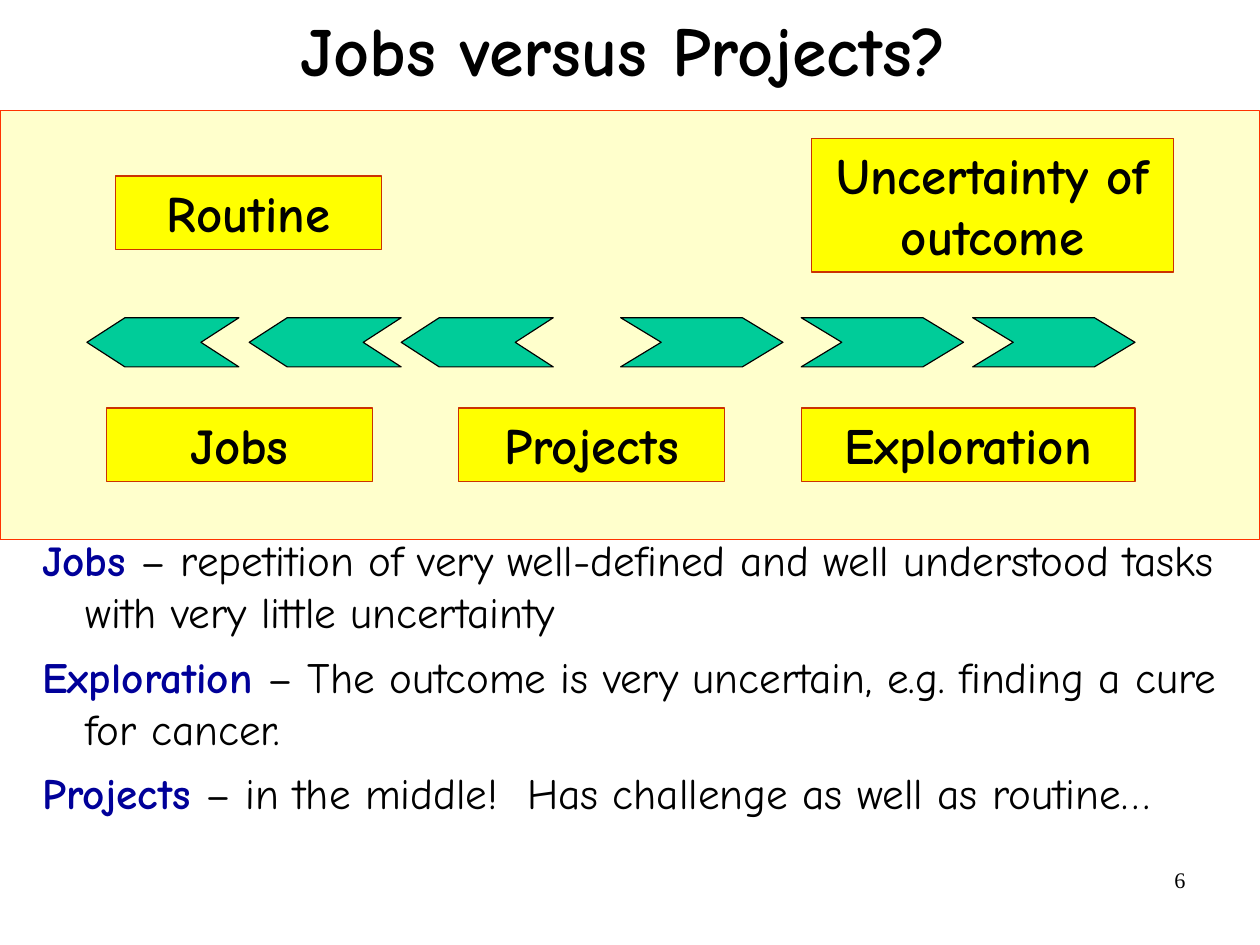
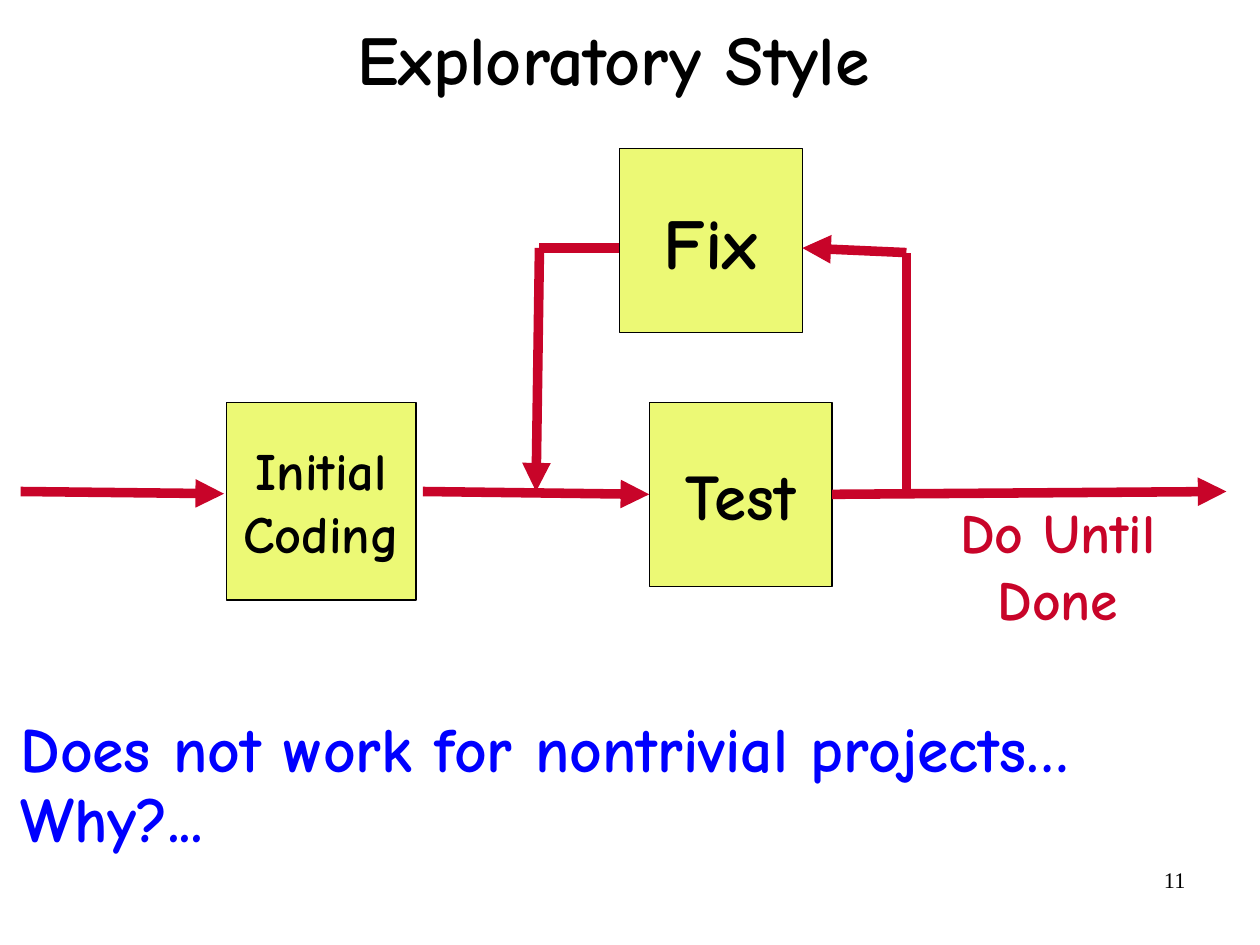
"""Builds two slides: jobs versus projects, and the exploratory coding style."""
import pptx
import pptx.util
import pptx.dml.color
import pptx.enum.shapes
import pptx.enum.text
import pptx.oxml
import pptx.oxml.ns

Inches, Pt = pptx.util.Inches, pptx.util.Pt
SHAPE = pptx.enum.shapes.MSO_SHAPE
ALIGN = pptx.enum.text.PP_ALIGN
ANCHOR = pptx.enum.text.MSO_ANCHOR
AUTO = pptx.enum.text.MSO_AUTO_SIZE

COLORS = {
    "text": "000000", "term": "000099", "remark": "0000FF", "paper": "FFFFFF",
    "panel": "FFFFCC", "panel_line": "FF3300", "label": "FFFF00", "label_line": "CC3300",
    "chevron": "00CC99", "step": "ECF975", "flow": "C80429",
}
FONT, NUMBER_FONT = "Comic Neue", "Times New Roman"
SMALL_INSETS, INSETS, NO_INSETS = (0.1, 0.05), (0.11, 0.06), (0, 0)
NUMBER_AT = (7.9, 7.53, 2.57, 0.57)

JOBS = {"title": "Jobs versus Projects?", "at": (-0.42, -0.28, 11.76, 1.5), "number": "6"}
DEFINITIONS = [
    ("Jobs", " – repetition of very well-defined and well understood tasks with very little uncertainty"),
    ("Exploration", " – The outcome is very uncertain, e.g. finding a cure for cancer."),
    ("Projects", " – in the middle!  Has challenge as well as routine…"),
]
DEFINITIONS_AT = (0.26, 4.61, 10.76, 2.78)
PANEL_AT = (0, 0.97, 11.02, 3.75)
LABELS = [
    ("Routine", (1.01, 1.54, 2.33, 0.64)),
    ("Uncertainty of outcome", (7.1, 1.21, 3.17, 1.17)),
    ("Jobs", (0.93, 3.57, 2.33, 0.64)),
    ("Projects", (4.01, 3.57, 2.33, 0.64)),
    ("Exploration", (7.01, 3.57, 2.92, 0.64)),
]
CHEVRON_TOP, CHEVRON_HEIGHT = 2.78, 0.43
CHEVRONS = [
    (180, 1.33, (0.76, 2.18, 3.51)),
    (0, 1.42, (5.43, 7.01, 8.51)),
]

STYLE = {"title": "Exploratory Style", "at": (0.67, -0.2, 9.4, 1.5), "number": "11"}
STEPS = {
    "coding": (["Initial", "Coding"], 33, (1.98, 3.52, 1.66, 1.73)),
    "test": (["Test"], 41, (5.68, 3.52, 1.6, 1.61)),
    "fix": (["Fix"], 45, (5.42, 1.3, 1.6, 1.61)),
}
UNTIL, UNTIL_AT = "Do Until Done", (7.75, 4.3, 3.01, 1.28)
LEFT, RIGHT = 1, 3
FLOWS = [
    ((0.18, 4.3), (1.96, 4.32), True),
    ((3.7, 4.3), ("test", LEFT), True),
    (("test", RIGHT), (10.73, 4.3), True),
    ((7.93, 4.3), (7.93, 2.21), False),
    ((7.93, 2.21), (7.02, 2.17), True),
    ((5.42, 2.17), (4.72, 2.17), False),
    ((4.72, 2.17), (4.69, 4.3), True),
]
REMARK = ["Does not work for nontrivial projects…", "Why?..."]
REMARK_AT = (0.18, 6.13, 10.85, 1.5)


def rgb(name):
    return pptx.dml.color.RGBColor.from_string(COLORS[name])


def lengths(at):
    return [Inches(v) for v in at]


def apply(target, values):
    for name, value in values.items():
        setattr(target, name, value)


def write(tf, paragraphs, size, color="text", font=FONT, bold=True, insets=SMALL_INSETS,
          anchor=ANCHOR.TOP, wrap=True, **paragraph_format):
    """Fill a text frame; each paragraph is a string or a list of (text, colour, bold)."""
    x, y = lengths(insets)
    apply(tf, {"margin_left": x, "margin_right": x, "margin_top": y, "margin_bottom": y,
               "vertical_anchor": anchor, "word_wrap": wrap, "auto_size": AUTO.NONE})
    for i, runs in enumerate(paragraphs):
        p = tf.add_paragraph() if i else tf.paragraphs[0]
        apply(p, paragraph_format)
        if i == 0:
            p.space_before = Pt(0)
        if isinstance(runs, str):
            runs = [(runs, color, bold)]
        for text, run_color, run_bold in runs:
            r = p.add_run()
            r.text = text
            apply(r.font, {"name": font, "size": Pt(size), "bold": run_bold})
            r.font.color.rgb = rgb(run_color)


def add_text(s, at, paragraphs, size, **options):
    sp = s.shapes.add_textbox(*lengths(at))
    write(sp.text_frame, paragraphs, size, **options)
    return sp


def add_box(s, at, fill, line=None, kind=SHAPE.RECTANGLE):
    sp = s.shapes.add_shape(kind, *lengths(at))
    sp.shadow.inherit = False
    sp.fill.solid()
    sp.fill.fore_color.rgb = rgb(fill)
    if line:
        sp.line.color.rgb = rgb(line)
        sp.line.width = Pt(0.75)
    else:
        sp.line.fill.background()
    return sp


def add_flow(s, steps, begin, end, arrow):
    """Draw one flow line; an end is a point or a (step, side) pair."""
    joined = [isinstance(e[0], str) for e in (begin, end)]
    start = (0, 0) if joined[0] else begin
    stop = (0, 0) if joined[1] else end
    c = s.shapes.add_connector(pptx.enum.shapes.MSO_CONNECTOR.STRAIGHT, *lengths(start + stop))
    for is_joined, place, connect in zip(joined, (begin, end), (c.begin_connect, c.end_connect)):
        if is_joined:
            connect(steps[place[0]], place[1])
    c.line.color.rgb = rgb("flow")
    c.line.width = Pt(6)
    if arrow:
        tail = pptx.oxml.ns.qn("a:tailEnd")
        c.line._get_or_add_ln().append(c._element.makeelement(tail, {"type": "triangle"}))
    c._element.spPr.append(c._element.makeelement(pptx.oxml.ns.qn("a:effectLst"), {}))


def add_slide(prs, head):
    s = prs.slides.add_slide(prs.slide_layouts[5])
    title = s.shapes.title
    apply(title, dict(zip(("left", "top", "width", "height"), lengths(head["at"]))))
    write(title.text_frame, [head["title"]], 44, insets=INSETS, anchor=ANCHOR.MIDDLE,
          alignment=ALIGN.CENTER, line_spacing=0.92)
    add_text(s, NUMBER_AT, [head["number"]], 14, font=NUMBER_FONT, bold=False,
             alignment=ALIGN.RIGHT)
    return s


def build_jobs(prs):
    s = add_slide(prs, JOBS)
    paragraphs = [[(term, "term", True), (rest, "text", False)] for term, rest in DEFINITIONS]
    sp = add_text(s, DEFINITIONS_AT, paragraphs, 27.2, insets=INSETS, space_before=Pt(8))
    for p in sp.text_frame.paragraphs:
        pPr = p._p.get_or_add_pPr()
        pPr.set("marL", str(Inches(0.38)))
        pPr.set("indent", str(-Inches(0.38)))
    add_box(s, PANEL_AT, "panel", "panel_line")
    for text, at in LABELS:
        sp = add_box(s, at, "label", "label_line")
        write(sp.text_frame, [text], 32, alignment=ALIGN.CENTER)
    for rotation, width, lefts in CHEVRONS:
        for left in lefts:
            sp = add_box(s, (left, CHEVRON_TOP, width, CHEVRON_HEIGHT), "chevron", "text",
                         SHAPE.CHEVRON)
            sp.adjustments[0] = width / 4 / CHEVRON_HEIGHT
            sp.rotation = rotation


def build_style(prs):
    s = add_slide(prs, STYLE)
    sp = add_box(s, UNTIL_AT, "paper")
    write(sp.text_frame, [UNTIL], 35, color="flow", insets=INSETS, alignment=ALIGN.CENTER)
    steps = {}
    for name, (lines, size, at) in STEPS.items():
        steps[name] = add_box(s, at, "step", "text")
        write(steps[name].text_frame, lines, size, insets=INSETS, anchor=ANCHOR.MIDDLE,
              wrap=False, alignment=ALIGN.CENTER)
    for flow in FLOWS:
        add_flow(s, steps, *flow)
    add_text(s, REMARK_AT, REMARK, 40, color="remark", insets=NO_INSETS, anchor=ANCHOR.MIDDLE,
             line_spacing=0.92)


def main():
    prs = pptx.Presentation()
    prs.slide_width = pptx.util.Cm(28)
    prs.slide_height = pptx.util.Cm(21)
    build_jobs(prs)
    build_style(prs)
    prs.save("out.pptx")


if __name__ == "__main__":
    main()
